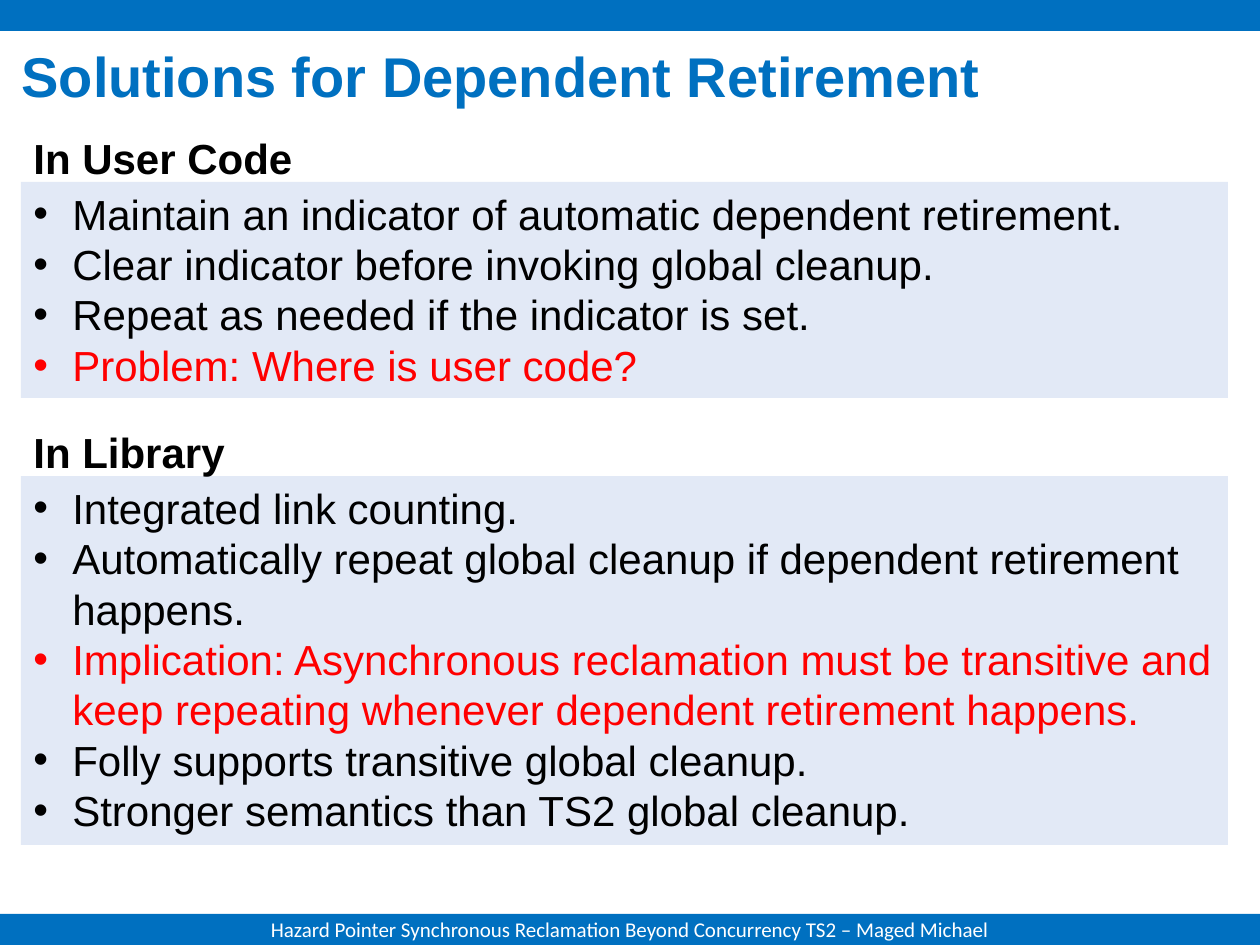
from dataclasses import dataclass

from lxml.etree import SubElement
from pptx import Presentation
from pptx.dml.color import RGBColor
from pptx.enum.shapes import MSO_SHAPE as Shape
from pptx.enum.text import MSO_ANCHOR as Anchor, MSO_AUTO_SIZE as AutoSize, PP_ALIGN as Align
from pptx.oxml.ns import qn
from pptx.util import Emu, Pt

EMU_PER_PX = 914400 / 126
WIDTH, HEIGHT = 1260, 945
BAR_HEIGHT = 31
PANEL_LEFT, PANEL_WIDTH = 21, 1207
HEADING_WIDTH, HEADING_HEIGHT = 599, 63
HEADING_RISE = 56  # from heading top down to panel top
BULLET_INDENT = 39

BLUE, PANEL_BLUE = "0070C0", "8FAADC"
BLACK, RED, WHITE = "000000", "FF0000", "FFFFFF"


@dataclass
class Bullet:
    text: str
    color: str = BLACK


@dataclass
class Section:
    heading: str
    top: int
    height: int
    bullets: list[Bullet]


SECTIONS = [
    Section("In User Code", 182, 216, [
        Bullet("Maintain an indicator of automatic dependent retirement."),
        Bullet("Clear indicator before invoking global cleanup."),
        Bullet("Repeat as needed if the indicator is set."),
        Bullet("Problem: Where is user code?", RED),
    ]),
    Section("In Library", 476, 369, [
        Bullet("Integrated link counting."),
        Bullet("Automatically repeat global cleanup if dependent retirement happens."),
        Bullet("Implication: Asynchronous reclamation must be transitive and "
               "keep repeating whenever dependent retirement happens.", RED),
        Bullet("Folly supports transitive global cleanup."),
        Bullet("Stronger semantics than TS2 global cleanup."),
    ]),
]


def px(length: int) -> Emu:
    return Emu(round(length * EMU_PER_PX))


def rgb(color: str) -> RGBColor:
    return RGBColor.from_string(color)


def add_span(para, text: str, size: int, color: str, bold: bool = False, font: str = "Arial") -> None:
    span = para.add_run()
    span.text = text
    span.font.name = font
    span.font.size = Pt(size)
    span.font.bold = bold
    span.font.color.rgb = rgb(color)


def add_rectangle(slide, left: int, top: int, width: int, height: int, color: str):
    box = slide.shapes.add_shape(Shape.RECTANGLE, px(left), px(top), px(width), px(height))
    box.shadow.inherit = False
    box.fill.solid()
    box.fill.fore_color.rgb = rgb(color)
    box.line.fill.background()
    return box


def set_opacity(box, percent: int) -> None:
    color = box.fill._xPr.find(qn("a:solidFill"))[0]
    SubElement(color, qn("a:alpha")).set("val", str(percent * 1000))


def set_bullet(para) -> None:
    props = para._p.get_or_add_pPr()
    props.set("marL", str(px(BULLET_INDENT)))
    props.set("indent", str(-px(BULLET_INDENT)))
    SubElement(props, qn("a:buFont")).set("typeface", "Arial")
    SubElement(props, qn("a:buChar")).set("char", "•")


def add_title(slide, text: str) -> None:
    title = slide.shapes.title
    title.left, title.top, title.width, title.height = px(9), px(47), px(1241), px(69)
    frame = title.text_frame
    frame.auto_size = AutoSize.NONE
    frame.vertical_anchor = Anchor.MIDDLE
    para = frame.paragraphs[0]
    para.alignment = Align.LEFT
    para.line_spacing = 0.8
    add_span(para, text, 32, BLUE, bold=True)


def add_section(slide, section: Section) -> None:
    # Shaded panel with its bullets
    panel = add_rectangle(slide, PANEL_LEFT, section.top, PANEL_WIDTH, section.height, PANEL_BLUE)
    set_opacity(panel, 25)
    frame = panel.text_frame
    frame.word_wrap = True
    frame.vertical_anchor = Anchor.TOP
    for index, bullet in enumerate(section.bullets):
        para = frame.add_paragraph() if index else frame.paragraphs[0]
        para.alignment = Align.LEFT
        set_bullet(para)
        add_span(para, bullet.text, 24, bullet.color)

    # Heading above the panel
    heading = slide.shapes.add_textbox(px(PANEL_LEFT), px(section.top - HEADING_RISE),
                                       px(HEADING_WIDTH), px(HEADING_HEIGHT))
    heading.text_frame.word_wrap = True
    add_span(heading.text_frame.paragraphs[0], section.heading, 24, BLACK, bold=True)


def main() -> None:
    deck = Presentation()
    deck.slide_width, deck.slide_height = px(WIDTH), px(HEIGHT)
    page = deck.slides.add_slide(deck.slide_layouts[5])
    add_title(page, "Solutions for Dependent Retirement")

    # Top and bottom bars
    add_rectangle(page, 0, 0, WIDTH, BAR_HEIGHT, BLUE)
    footer = add_rectangle(page, 0, HEIGHT - BAR_HEIGHT, WIDTH, BAR_HEIGHT, BLUE)
    footer.text_frame.vertical_anchor = Anchor.MIDDLE
    para = footer.text_frame.paragraphs[0]
    para.alignment = Align.CENTER
    add_span(para, "Hazard Pointer Synchronous Reclamation Beyond Concurrency TS2 – Maged Michael",
             12, WHITE, font="Calibri")

    for section in SECTIONS:
        add_section(page, section)

    deck.save("out.pptx")


if __name__ == "__main__":
    main()
